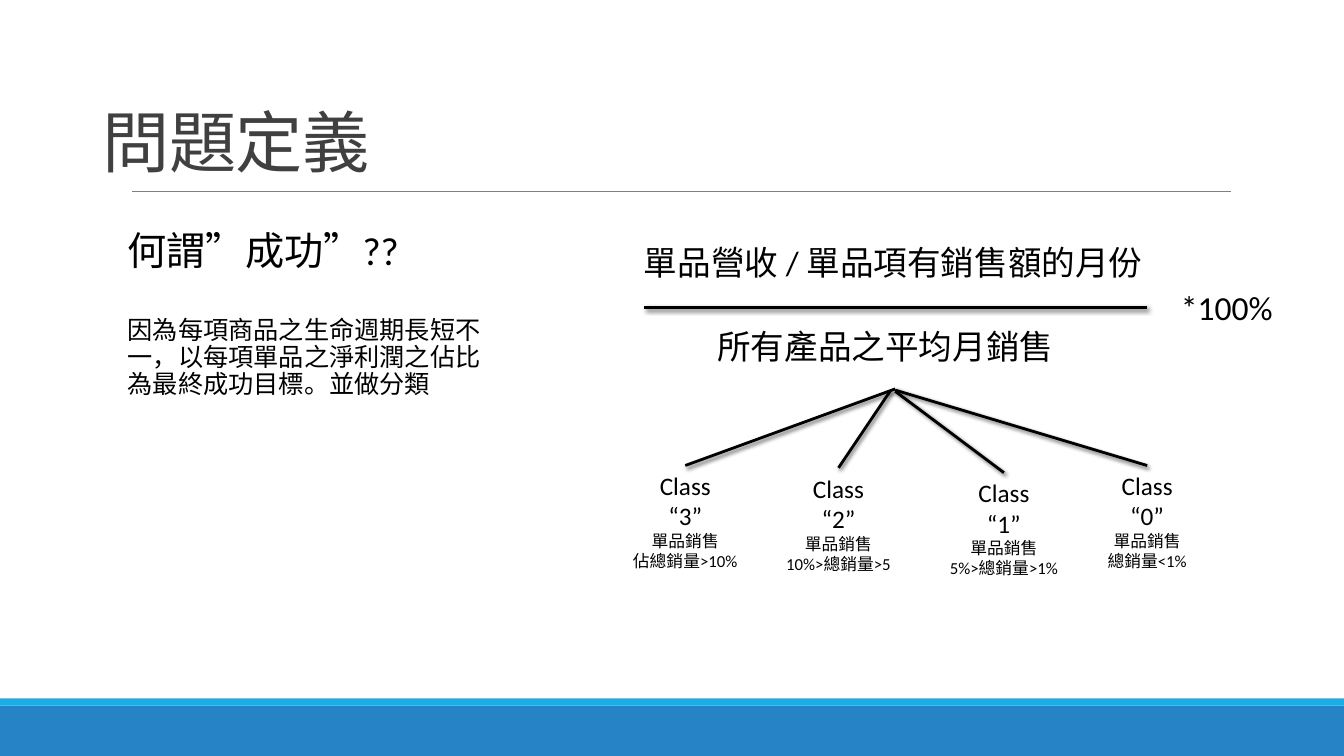
from dataclasses import dataclass

from lxml.etree import SubElement
from pptx import Presentation
from pptx.dml.color import RGBColor
from pptx.enum.shapes import MSO_CONNECTOR, MSO_SHAPE
from pptx.enum.text import MSO_ANCHOR, PP_ALIGN
from pptx.oxml.ns import qn
from pptx.slide import Slide
from pptx.util import Cm, Pt

BLACK = RGBColor(0x00, 0x00, 0x00)
TITLE_GREY = RGBColor(0x40, 0x40, 0x40)
RULE_GREY = RGBColor(0x80, 0x80, 0x80)
DEEP_BLUE = RGBColor(0x26, 0x83, 0xC6)
BRIGHT_BLUE = RGBColor(0x1C, 0xAD, 0xE4)

FONT = "Calibri"
CLASS_WIDTH = 3.38
LINE_HEIGHT = 1.27


@dataclass(frozen=True)
class Line:
    text: str
    size: float
    space_before: float = 0


@dataclass(frozen=True)
class Band:
    top: float
    height: float
    color: RGBColor


@dataclass(frozen=True)
class SalesClass:
    label: str
    share: str
    tip: tuple[float, float]
    apex: tuple[float, float]
    height: float


BANDS = [Band(17.78, 1.27, DEEP_BLUE), Band(17.6, 0.18, BRIGHT_BLUE)]

SALES_CLASSES = [
    SalesClass("“3”", "佔總銷量>10%", (17.27, 11.73), (22.56, 9.8), 2.82),
    SalesClass("“2”", "10%>總銷量>5", (21.13, 11.79), (22.43, 9.86), 4.37),
    SalesClass("“1”", "5%>總銷量>1%", (25.3, 11.91), (22.56, 9.86), 4.37),
    SalesClass("“0”", "總銷量<1%", (28.91, 11.73), (22.56, 9.83), 4.37),
]


def add_text(
    slide: Slide,
    lines: list[Line],
    *,
    left: float,
    top: float,
    width: float,
    height: float = LINE_HEIGHT,
    color: RGBColor = BLACK,
    align: PP_ALIGN = PP_ALIGN.LEFT,
    anchor: MSO_ANCHOR = MSO_ANCHOR.TOP,
    line_spacing: float = 1.0,
    tracking: float = 0,
) -> None:
    box = slide.shapes.add_textbox(Cm(left), Cm(top), Cm(width), Cm(height))
    frame = box.text_frame
    frame.word_wrap = True
    frame.vertical_anchor = anchor
    for index, line in enumerate(lines):
        paragraph = frame.add_paragraph() if index else frame.paragraphs[0]
        paragraph.alignment = align
        paragraph.line_spacing = line_spacing
        if line.space_before:
            paragraph.space_before = Pt(line.space_before)
        run = paragraph.add_run()
        run.text = line.text
        run.font.name = FONT
        run.font.size = Pt(line.size)
        run.font.color.rgb = color
        if tracking:
            run.font._element.set("spc", str(round(tracking * 100)))


def add_line(
    slide: Slide,
    start: tuple[float, float],
    end: tuple[float, float],
    *,
    color: RGBColor = BLACK,
    weight: float = 2,
    shadow: bool = True,
) -> None:
    connector = slide.shapes.add_connector(
        MSO_CONNECTOR.STRAIGHT, *(Cm(value) for value in (*start, *end))
    )
    connector.line.color.rgb = color
    connector.line.width = Pt(weight)
    effects = SubElement(connector._element.spPr, qn("a:effectLst"))
    if shadow:
        outer = SubElement(
            effects,
            qn("a:outerShdw"),
            blurRad=str(Pt(3)),
            dist=str(Pt(2)),
            dir=str(45 * 60000),
            rotWithShape="0",
        )
        shade = SubElement(outer, qn("a:srgbClr"), val=str(BLACK))
        SubElement(shade, qn("a:alpha"), val="60000")


def add_band(slide: Slide, band: Band, width: int) -> None:
    bar = slide.shapes.add_shape(
        MSO_SHAPE.RECTANGLE, 0, Cm(band.top), width, Cm(band.height)
    )
    bar.shadow.inherit = False
    bar.fill.solid()
    bar.fill.fore_color.rgb = band.color
    bar.line.fill.background()


def add_sales_class(slide: Slide, sales_class: SalesClass) -> None:
    tip_x, tip_y = sales_class.tip
    add_line(slide, sales_class.tip, sales_class.apex)
    add_text(
        slide,
        [
            Line("Class", 18),
            Line(sales_class.label, 18),
            Line("單品銷售", 12),
            Line(sales_class.share, 12),
        ],
        left=tip_x - CLASS_WIDTH / 2,
        top=tip_y,
        width=CLASS_WIDTH,
        height=sales_class.height,
        align=PP_ALIGN.CENTER,
    )


def main() -> None:
    deck = Presentation()
    deck.slide_width = Cm(33.87)
    deck.slide_height = Cm(19.05)
    slide = deck.slides.add_slide(deck.slide_layouts[6])

    for band in BANDS:
        add_band(slide, band, deck.slide_width)
    add_line(
        slide, (3.33, 4.83), (31.01, 4.83), color=RULE_GREY, weight=0.5, shadow=False
    )

    add_text(
        slide, [Line("問題定義", 48)],
        left=2.34, top=1.02, width=7.8, height=3.68,
        color=TITLE_GREY, anchor=MSO_ANCHOR.BOTTOM, line_spacing=0.85, tracking=-0.5,
    )
    add_text(
        slide,
        [
            Line("何謂”成功”??", 28),
            Line(
                "因為每項商品之生命週期長短不一，以每項單品之淨利潤之佔比為最終成功目標。並做分類",
                18,
                space_before=31,
            ),
        ],
        left=2.97, top=5.72, width=9.45, height=5.23, line_spacing=0.9,
    )

    add_line(slide, (16.23, 7.75), (28.91, 7.75))
    add_text(slide, [Line("所有產品之平均月銷售", 24)], left=17.83, top=8.1, width=9.5)
    add_text(
        slide, [Line("單品營收 / 單品項有銷售額的月份", 24)],
        left=15.98, top=5.97, width=14.63,
    )
    add_text(slide, [Line("*100%", 24)], left=29.51, top=7.11, width=3.38)

    for sales_class in SALES_CLASSES:
        add_sales_class(slide, sales_class)

    deck.save("out.pptx")


if __name__ == "__main__":
    main()
